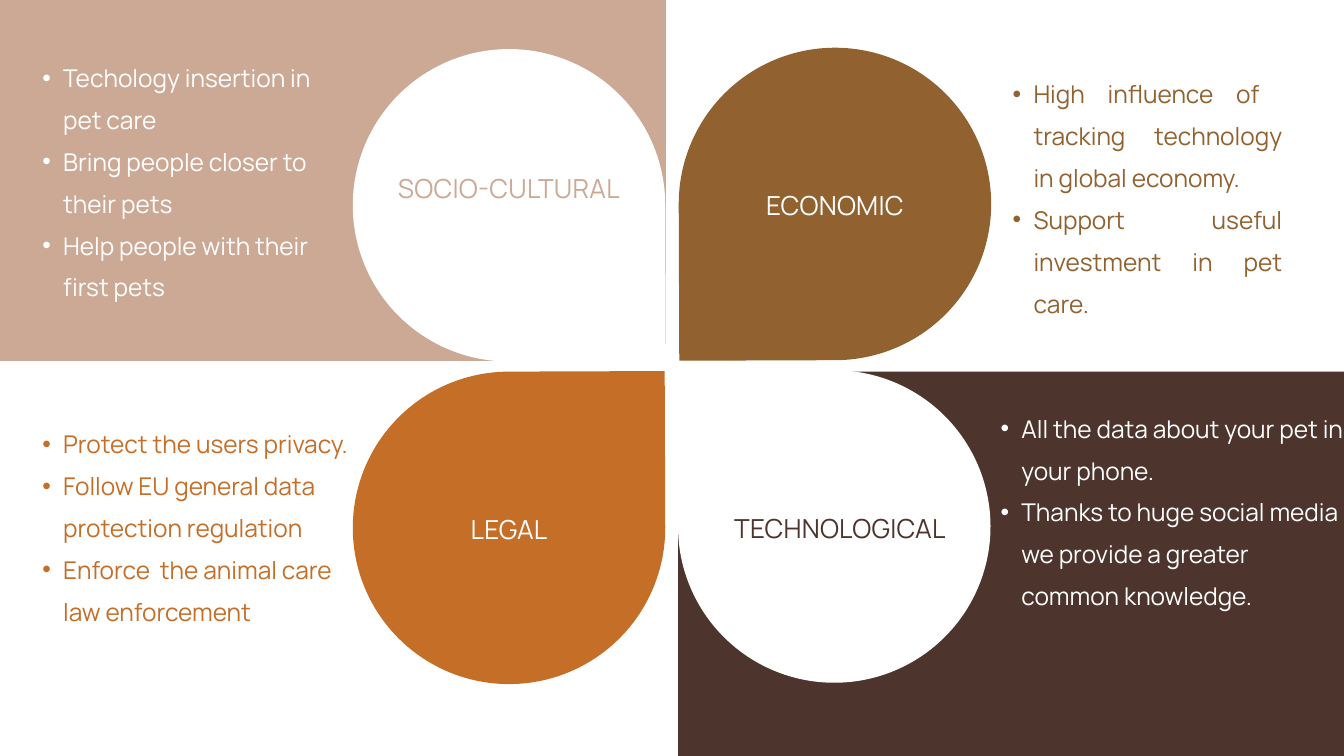
from dataclasses import dataclass
from lxml import etree
from pptx import Presentation
from pptx import util as u
from pptx.dml.color import RGBColor
from pptx.enum import shapes, text
from pptx.oxml.ns import qn

PX = 9144
FONT = "Manrope"
WHITE, BLUSH, BROWN, ORANGE, COCOA = "FFFFFF", "CCA995", "91612F", "C46E28", "4D352D"
PETAL_SIZE = 465
TILT = -0.2


@dataclass
class Box:
    x: int
    y: int
    w: int
    h: int

    def emu(self) -> list[int]:
        return [v * PX for v in (self.x, self.y, self.w, self.h)]


@dataclass
class Quadrant:
    title: str
    title_box: Box
    title_color: str
    petal_at: tuple[int, int]
    petal_color: str
    turn: int
    points: list[str]
    points_box: Box
    points_color: str
    align: text.PP_ALIGN = text.PP_ALIGN.LEFT


PANELS = [(Box(0, -205, 991, 742), BLUSH), (Box(1009, 553, 991, 742), COCOA)]

QUADRANTS = [
    Quadrant("SOCIO-CULTURAL", Box(586, 255, 343, 96), BLUSH, (525, 73), WHITE, 90,
             ["Techology insertion in pet care",
              "Bring people closer to their pets",
              "Help people with their first pets"],
             Box(32, 75, 474, 364), WHITE),
    Quadrant("TECHNOLOGICAL", Box(1075, 761, 350, 48), COCOA, (1009, 551), WHITE, 270,
             ["All the data about your pet in your phone.",
              "Thanks to huge social media we provide a greater common knowledge."],
             Box(1458, 597, 544, 364), WHITE),
    Quadrant("ECONOMIC", Box(1075, 280, 335, 47), WHITE, (1010, 71), BROWN, 180,
             ["High influence of  tracking technology in global economy.",
              "Support useful investment in pet care."],
             Box(1476, 99, 432, 364), BROWN, text.PP_ALIGN.JUSTIFY),
    Quadrant("LEGAL", Box(586, 762, 343, 47), WHITE, (525, 553), ORANGE, 360,
             ["Protect the users privacy.",
              "Follow EU general data protection regulation",
              "Enforce  the animal care law enforcement"],
             Box(32, 620, 493, 364), ORANGE),
]


def rgb(value: str) -> RGBColor:
    return RGBColor.from_string(value)


def apply(obj, values: dict) -> None:
    for name, value in values.items():
        setattr(obj, name, value)


def add_filled(s, kind, box: Box, color: str, rotation: float = 0) -> None:
    sp = s.shapes.add_shape(kind, *box.emu())
    apply(sp, {"rotation": rotation})
    sp.shadow.inherit = False
    sp.fill.solid()
    sp.fill.fore_color.rgb = rgb(color)
    sp.line.fill.background()


def set_indent(p, left: int, first: int) -> None:
    pPr = p._p.get_or_add_pPr()
    pPr.set("marL", str(left * PX))
    pPr.set("indent", str(first * PX))


def add_bullet(p) -> None:
    pPr = p._p.get_or_add_pPr()
    etree.SubElement(pPr, qn("a:buFont")).set("typeface", "Arial")
    etree.SubElement(pPr, qn("a:buChar")).set("char", "•")


def add_text(s, box: Box, lines: list[str], color: str, size: float, leading: float,
             align, bullets: bool = False, spacing: int = 0) -> None:
    tf = s.shapes.add_textbox(*box.emu()).text_frame
    apply(tf, {"word_wrap": True, "auto_size": text.MSO_AUTO_SIZE.SHAPE_TO_FIT_TEXT,
               "margin_left": 0, "margin_top": 0, "margin_right": 0, "margin_bottom": 0})
    for i, line in enumerate(lines):
        p = tf.add_paragraph() if i else tf.paragraphs[0]
        if bullets:
            set_indent(p, 62, -31)
            add_bullet(p)
        else:
            set_indent(p, 0, 0)
        apply(p, {"level": 1, "alignment": align, "line_spacing": u.Pt(leading)})
        r = p.add_run()
        r.text = line
        apply(r.font, {"name": FONT, "size": u.Pt(size)})
        r.font.color.rgb = rgb(color)
        if spacing:
            r._r.get_or_add_rPr().set("spc", str(spacing))


def main() -> None:
    prs = Presentation()
    apply(prs, {"slide_width": 2000 * PX, "slide_height": 1125 * PX})
    s = prs.slides.add_slide(prs.slide_layouts[6])
    for box, color in PANELS:
        add_filled(s, shapes.MSO_SHAPE.RECTANGLE, box, color)
    for q in QUADRANTS:
        petal = Box(*q.petal_at, PETAL_SIZE, PETAL_SIZE)
        add_filled(s, shapes.MSO_SHAPE.TEAR, petal, q.petal_color, q.turn + TILT)
    for q in QUADRANTS:
        add_text(s, q.title_box, [q.title], q.title_color, 28.1, 34.5,
                 text.PP_ALIGN.CENTER, spacing=30)
        add_text(s, q.points_box, q.points, q.points_color, 26.2, 44.9, q.align, bullets=True)
    prs.save("out.pptx")


if __name__ == "__main__":
    main()
